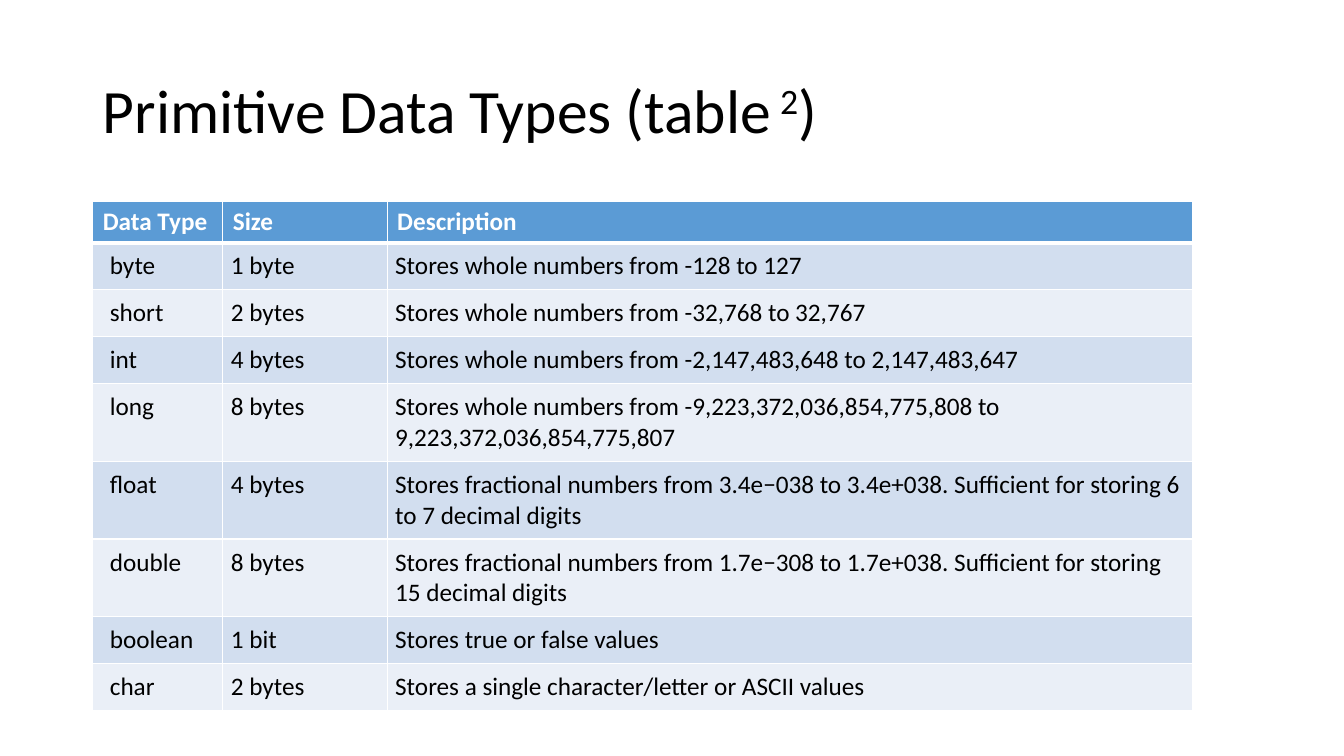
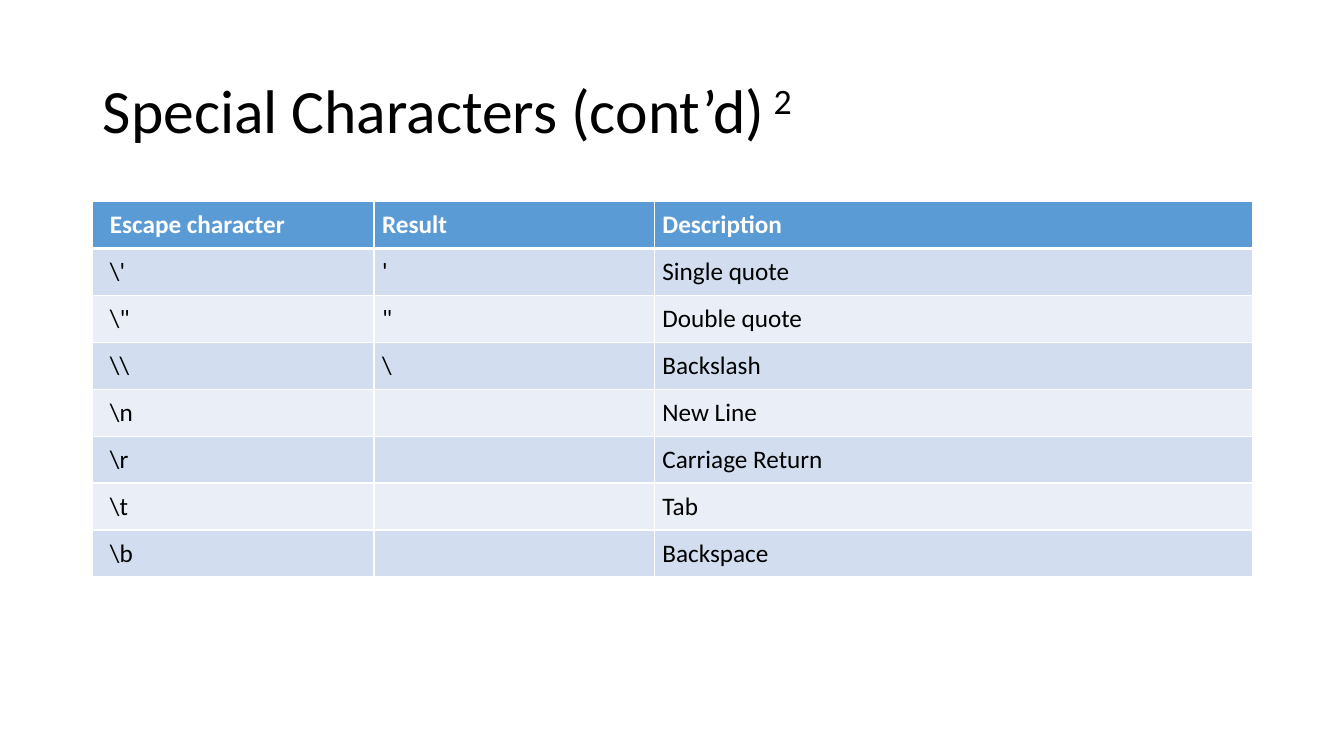
import pptx
import pptx.dml.color
import pptx.enum.text
import pptx.oxml.ns
import pptx.util
from lxml import etree

EMU_PER_PX = 9144
TITLE_ONLY = 5


def px(length):
    return pptx.util.Emu(length * EMU_PER_PX)


def rgb(color):
    return pptx.dml.color.RGBColor.from_string(color)


def set_values(target, values):
    for name, value in values.items():
        setattr(target, name, value)


class Deck:
    WHITE, BLACK = "FFFFFF", "000000"
    HEADER_FILL = "5B9BD5"
    BAND_FILLS = ("D2DEEF", "EAEFF7")
    FONT = "Calibri"
    TITLE_SIZE, TABLE_SIZE = 44, 18
    TITLE_BOX = {"left": px(92), "top": px(40), "width": px(881), "height": px(145)}
    TITLE_FRAME = {
        "margin_left": px(10), "margin_right": px(10),
        "margin_top": px(5), "margin_bottom": px(5),
        "word_wrap": True,
        "auto_size": pptx.enum.text.MSO_AUTO_SIZE.NONE,
        "vertical_anchor": pptx.enum.text.MSO_ANCHOR.MIDDLE,
    }
    TITLE_PARAGRAPH = {"alignment": pptx.enum.text.PP_ALIGN.LEFT, "line_spacing": 0.9}
    TABLE_LEFT, TABLE_TOP, ROW_HEIGHT = 92, 200, 41
    FIRST_INSET, CELL_INSET = 17, 8
    THIN_LINE, HEADER_LINE = 1, 3

    def __init__(self):
        self.presentation = pptx.Presentation()
        set_values(self.presentation, {"slide_width": px(1333), "slide_height": px(750)})
        self.slide = None

    def add_slide(self, *title_parts):
        layout = self.presentation.slide_layouts[TITLE_ONLY]
        self.slide = self.presentation.slides.add_slide(layout)
        title = self.slide.shapes.title
        set_values(title, self.TITLE_BOX)
        set_values(title.text_frame, self.TITLE_FRAME)
        paragraph = title.text_frame.paragraphs[0]
        set_values(paragraph, self.TITLE_PARAGRAPH)
        for text, superscript in title_parts:
            run = self.add_run(paragraph, text, self.TITLE_SIZE, self.BLACK)
            if superscript:
                run.font._element.set("baseline", "30000")

    def add_run(self, paragraph, text, size, color, bold=False):
        run = paragraph.add_run()
        run.text = text
        set_values(run.font, {"name": self.FONT, "size": pptx.util.Pt(size), "bold": bold})
        run.font.color.rgb = rgb(color)
        return run

    def add_table(self, column_widths, rows, inset_header=True):
        frame = self.slide.shapes.add_table(
            len(rows), len(column_widths), px(self.TABLE_LEFT), px(self.TABLE_TOP),
            px(sum(column_widths)), px(self.ROW_HEIGHT * len(rows)))
        table = frame.table
        table.horz_banding = False
        for column, width in zip(table.columns, column_widths):
            column.width = px(width)
        for row_index, texts in enumerate(rows):
            table.rows[row_index].height = px(self.ROW_HEIGHT)
            for column_index, text in enumerate(texts):
                cell = table.cell(row_index, column_index)
                self.format_cell(cell, row_index)
                if text:
                    self.fill_cell(cell, text, row_index == 0)
                if text and (row_index or inset_header):
                    self.inset_cell(cell, column_index == 0)

    def format_cell(self, cell, row_index):
        is_header = row_index == 0
        top = self.HEADER_LINE if row_index == 1 else self.THIN_LINE
        bottom = self.HEADER_LINE if is_header else self.THIN_LINE
        self.add_borders(cell, {"lnL": self.THIN_LINE, "lnR": self.THIN_LINE,
                                "lnT": top, "lnB": bottom})
        cell.fill.solid()
        band = self.BAND_FILLS[(row_index - 1) % 2]
        cell.fill.fore_color.rgb = rgb(self.HEADER_FILL if is_header else band)

    def fill_cell(self, cell, text, is_header):
        color = self.WHITE if is_header else self.BLACK
        self.add_run(cell.text_frame.paragraphs[0], text, self.TABLE_SIZE, color, is_header)

    def inset_cell(self, cell, is_first):
        inset = px(self.CELL_INSET)
        set_values(cell, {
            "margin_left": px(self.FIRST_INSET) if is_first else inset,
            "margin_right": inset, "margin_top": inset, "margin_bottom": inset})

    def add_borders(self, cell, widths):
        qn = pptx.oxml.ns.qn
        properties = cell._tc.get_or_add_tcPr()
        for side, width in widths.items():
            line = etree.SubElement(properties, qn(f"a:{side}"), w=str(pptx.util.Pt(width)))
            fill = etree.SubElement(line, qn("a:solidFill"))
            etree.SubElement(fill, qn("a:srgbClr"), val=self.WHITE)

    def save(self):
        self.presentation.save("out.pptx")


DATA_TYPES = [
    ("Data Type", "Size", "Description"),
    ("byte", "1 byte", "Stores whole numbers from -128 to 127"),
    ("short", "2 bytes", "Stores whole numbers from -32,768 to 32,767"),
    ("int", "4 bytes", "Stores whole numbers from -2,147,483,648 to 2,147,483,647"),
    ("long", "8 bytes", "Stores whole numbers from -9,223,372,036,854,775,808 to "
                        "9,223,372,036,854,775,807"),
    ("float", "4 bytes", "Stores fractional numbers from 3.4e−038 to 3.4e+038. "
                         "Sufficient for storing 6 to 7 decimal digits"),
    ("double", "8 bytes", "Stores fractional numbers from 1.7e−308 to 1.7e+038. "
                          "Sufficient for storing 15 decimal digits"),
    ("boolean", "1 bit", "Stores true or false values"),
    ("char", "2 bytes", "Stores a single character/letter or ASCII values"),
]

ESCAPE_CHARACTERS = [
    ("Escape character", "Result", "Description"),
    (r"\'", "'", "Single quote"),
    (r'\"', '"', "Double quote"),
    (r"\\", "\\", "Backslash"),
    (r"\n", "", "New Line"),
    (r"\r", "", "Carriage Return"),
    (r"\t", "", "Tab"),
    (r"\b", "", "Backspace"),
]


def main():
    deck = Deck()
    deck.add_slide(("Primitive Data Types (table", False), (" 2", True), (")", False))
    deck.add_table((129, 163, 799), DATA_TYPES, inset_header=False)
    deck.add_slide(("Special Characters (cont’d)", False), (" 2", True))
    deck.add_table((279, 278, 593), ESCAPE_CHARACTERS)
    deck.save()


if __name__ == "__main__":
    main()
